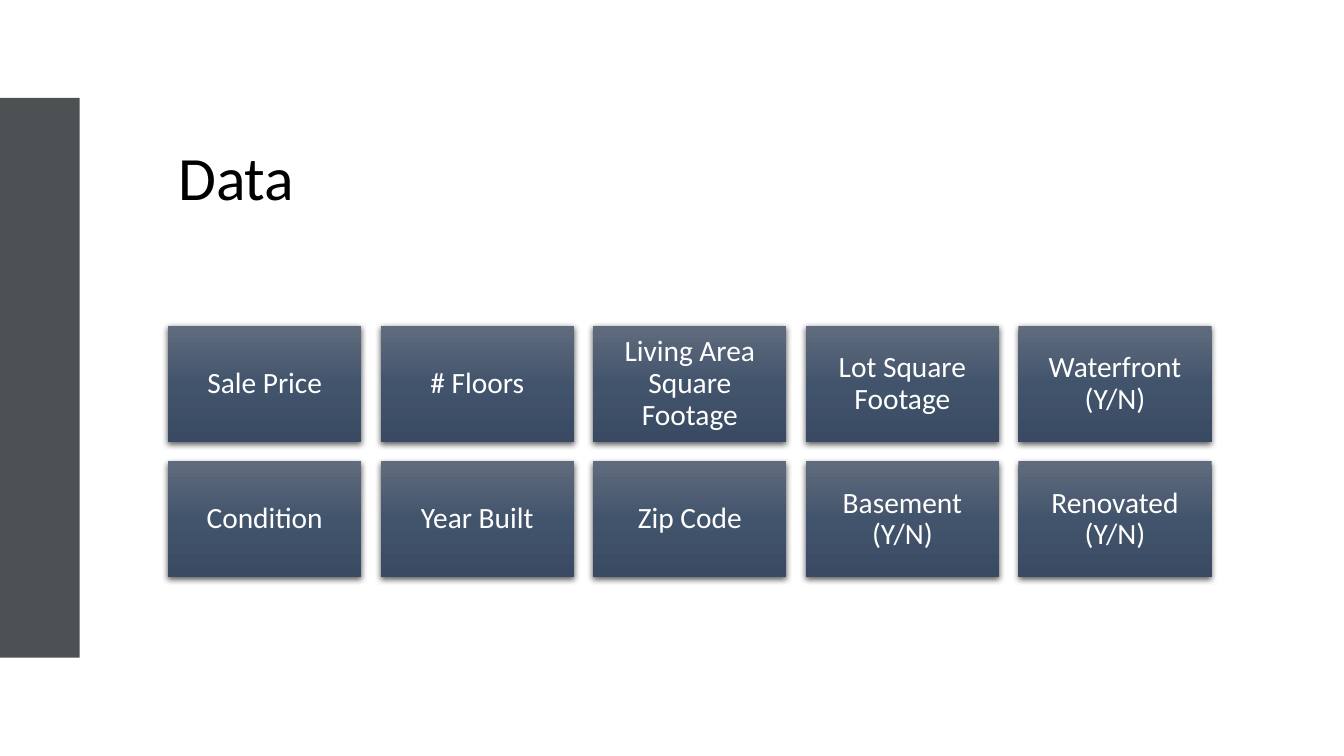
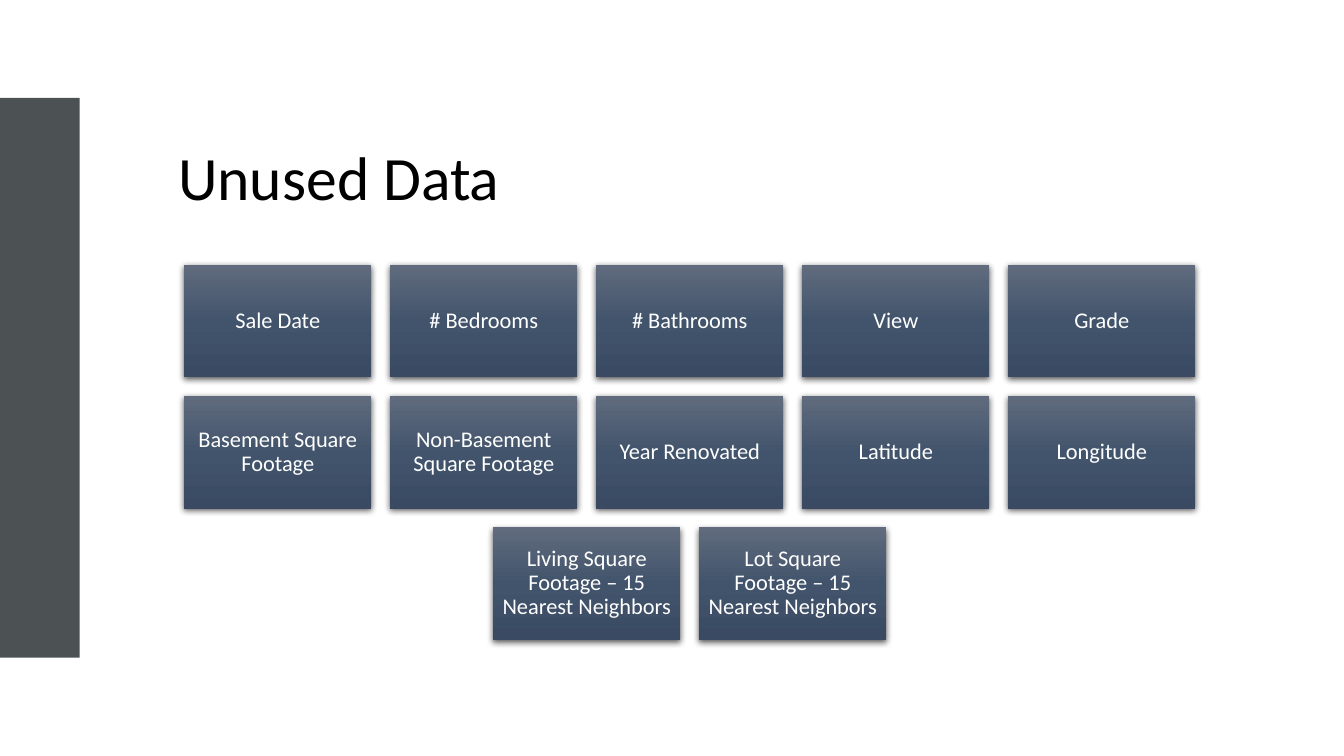
from copy import deepcopy
from dataclasses import dataclass

from lxml import etree
from pptx import Presentation
from pptx.dml.color import RGBColor as RGB
from pptx.enum.shapes import MSO_SHAPE as SHAPE
from pptx.enum.text import MSO_ANCHOR as ANCHOR, PP_ALIGN as ALIGN
from pptx.oxml.ns import qn
from pptx.util import Cm, Pt


@dataclass(frozen=True)
class Theme:
    font: str = "Calibri"
    title_size: int = 44
    title_color: str = "000000"
    band: str = "4C5254"
    card_text: str = "FFFFFF"
    card_stops: tuple = ((0, "606B7D"), (0.5, "42546C"), (1, "394A62"))
    shadow: str = "000000"
    line_spacing: float = 0.9


THEME = Theme()

# Content column shared by the title and the card grid, in cm
LEFT, WIDTH = 4.24, 26.29
COLUMNS = 5
CARD_RATIO, GAP_RATIO = 0.6, 0.1

SLIDES = [
    dict(
        title="Data", top=8.22, card_width=4.87, size=21, inset=0.22,
        labels=["Sale Price", "# Floors", "Living Area Square Footage",
                "Lot Square Footage", "Waterfront (Y/N)",
                "Condition", "Year Built", "Zip Code",
                "Basement (Y/N)", "Renovated (Y/N)"],
    ),
    dict(
        title="Unused Data", top=6.68, card_width=4.72, size=16, inset=0.17,
        labels=["Sale Date", "# Bedrooms", "# Bathrooms", "View", "Grade",
                "Basement Square Footage", "Non-Basement Square Footage",
                "Year Renovated", "Latitude", "Longitude",
                "Living Square Footage – 15 Nearest Neighbors",
                "Lot Square Footage – 15 Nearest Neighbors"],
    ),
]


def set_text(sp, text, *, size, color, align=ALIGN.LEFT, inset=None):
    tf = sp.text_frame
    tf.word_wrap = True
    tf.vertical_anchor = ANCHOR.MIDDLE
    if inset is not None:
        tf.margin_left = tf.margin_right = Cm(inset)
        tf.margin_top = tf.margin_bottom = Cm(inset)
    p = tf.paragraphs[0]
    p.alignment = align
    p.line_spacing = THEME.line_spacing
    r = p.add_run()
    r.text = text
    r.font.name = THEME.font
    r.font.size = Pt(size)
    r.font.color.rgb = RGB.from_string(color)


def add_rect(slide, x, y, w, h):
    sp = slide.shapes.add_shape(SHAPE.RECTANGLE, Cm(x), Cm(y), Cm(w), Cm(h))
    sp.shadow.inherit = False
    sp.line.fill.background()
    return sp


def fill_gradient(sp, stops):
    """Fill from top to bottom with three (position, colour) stops."""
    sp.fill.gradient()
    sp.fill.gradient_angle = 270
    stop_list = sp._element.spPr.find(qn("a:gradFill")).find(qn("a:gsLst"))
    stop_list.insert(1, deepcopy(stop_list[0]))
    for stop, (position, color) in zip(sp.fill.gradient_stops, stops):
        stop.position = position
        stop.color.rgb = RGB.from_string(color)


def add_shadow(sp):
    effects = sp._element.spPr.find(qn("a:effectLst"))
    shadow = etree.SubElement(
        effects, qn("a:outerShdw"), blurRad=str(Pt(4.5)), dist=str(Pt(1.5)),
        dir="5400000", algn="ctr", rotWithShape="0")
    color = etree.SubElement(shadow, qn("a:srgbClr"), val=THEME.shadow)
    etree.SubElement(color, qn("a:alpha"), val="63000")


def add_band(slide):
    sp = add_rect(slide, 0, 2.47, 2.01, 14.1)
    sp.fill.solid()
    sp.fill.fore_color.rgb = RGB.from_string(THEME.band)


def add_title(slide, text):
    sp = slide.shapes.add_textbox(Cm(LEFT), Cm(2.92), Cm(WIDTH), Cm(3.28))
    set_text(sp, text, size=THEME.title_size, color=THEME.title_color)


def add_card(slide, text, x, y, w, h, size, inset):
    sp = add_rect(slide, x, y, w, h)
    fill_gradient(sp, THEME.card_stops)
    add_shadow(sp)
    set_text(sp, text, size=size, color=THEME.card_text,
             align=ALIGN.CENTER, inset=inset)


def add_card_grid(slide, labels, top, card_width, size, inset):
    """Lay the cards out in rows, each row centred in the content column."""
    height = card_width * CARD_RATIO
    gap = card_width * GAP_RATIO
    for start in range(0, len(labels), COLUMNS):
        row = labels[start:start + COLUMNS]
        y = top + start // COLUMNS * (height + gap)
        row_width = len(row) * (card_width + gap) - gap
        left = LEFT + (WIDTH - row_width) / 2
        for i, label in enumerate(row):
            add_card(slide, label, left + i * (card_width + gap), y,
                     card_width, height, size, inset)


def add_data_slide(prs, title, **grid):
    slide = prs.slides.add_slide(prs.slide_layouts[6])
    add_band(slide)
    add_title(slide, title)
    add_card_grid(slide, **grid)


def main():
    prs = Presentation()
    prs.slide_width, prs.slide_height = Cm(33.87), Cm(19.05)
    for content in SLIDES:
        add_data_slide(prs, **content)
    prs.save("out.pptx")


if __name__ == "__main__":
    main()
